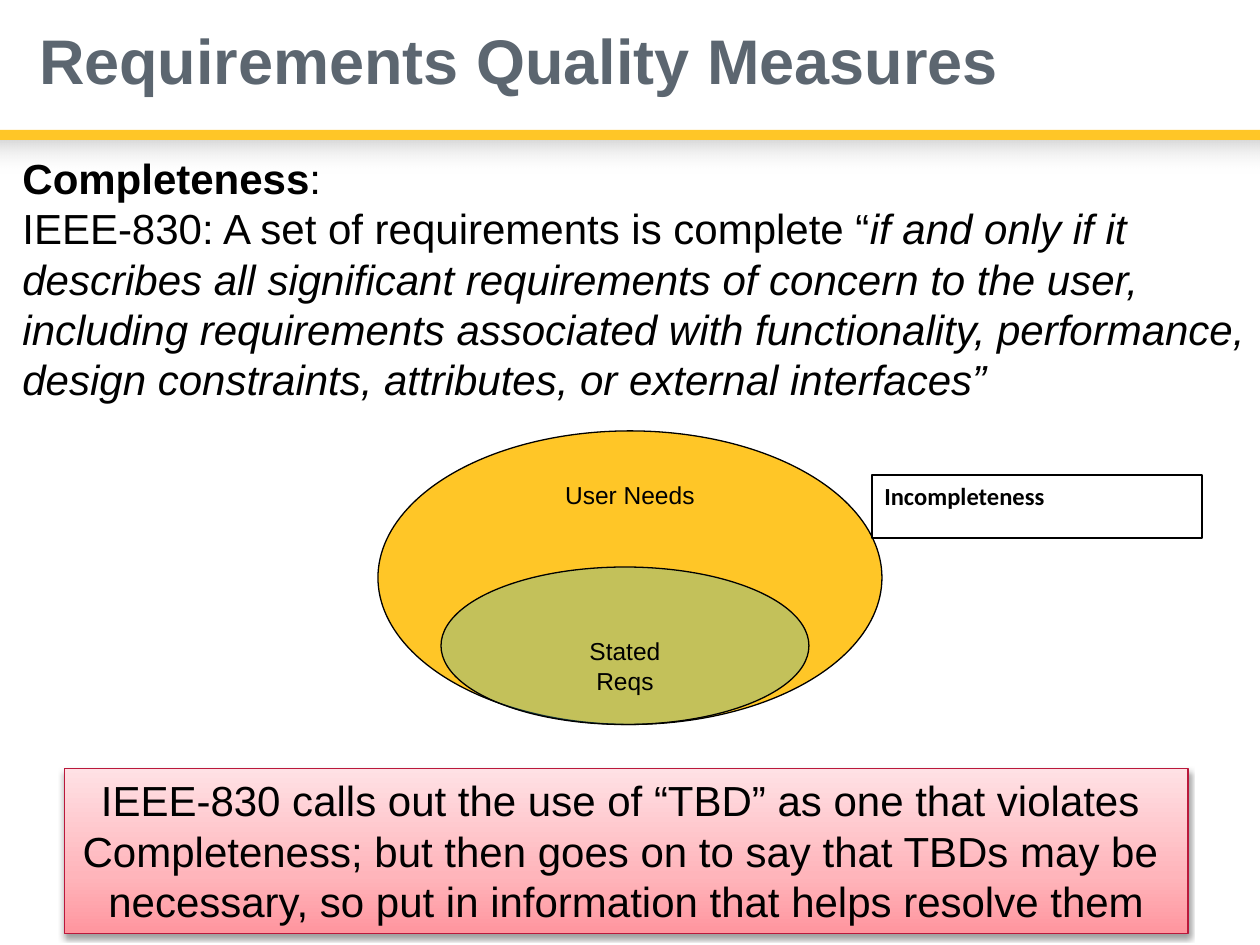
"""Build the Requirements Quality Measures slide on completeness."""
from dataclasses import dataclass

from lxml.etree import SubElement
from pptx import Presentation
from pptx.dml.color import RGBColor
from pptx.enum.shapes import MSO_SHAPE as Preset
from pptx.enum.text import MSO_ANCHOR as Anchor, MSO_AUTO_SIZE as AutoSize, PP_ALIGN as Align
from pptx.oxml.ns import qn
from pptx.util import Inches, Pt

COLORS = {
    "black": "000000", "gray": "5C6670", "gold": "FFC627", "teal": "4AB7C4",
    "crimson": "BA183B", "rose": "FF959E", "pink": "FFB5BB", "blush": "FFE1E5",
    "shade": "D9D9D9", "white": "FFFFFF",
}


@dataclass(frozen=True)
class Stop:
    position: int
    color: str
    opacity: int = 100


@dataclass(frozen=True)
class Panel:
    preset: Preset
    area: tuple[float, float, float, float]
    fill: str | None = None
    opacity: int = 100
    stops: tuple[Stop, ...] = ()
    angle: int = 0
    line: str | None = "black"
    text: str = ""
    size: int = 14
    font: str = "Arial"
    bold: bool = False
    align: Align = Align.CENTER
    anchor: Anchor = Anchor.TOP


PANELS = (
    Panel(Preset.RECTANGLE, (0, 1.11, 10, 0.27), line=None, angle=90,
          stops=(Stop(0, "shade"), Stop(100, "white", 0))),
    Panel(Preset.RECTANGLE, (0, 1.03, 10, 0.08), "gold", line=None),
    Panel(Preset.OVAL, (3, 3.42, 4, 2.33), "gold", text="User Needs"),
    Panel(Preset.OVAL, (3.5, 4.5, 2.92, 1.25), "teal", 33,
          text="Stated\nReqs", anchor=Anchor.BOTTOM),
    Panel(Preset.RECTANGLE, (6.92, 3.77, 2.62, 0.5), text="Incompleteness",
          font="Calibri", bold=True, align=Align.LEFT),
)
NOTICE = Panel(
    Preset.RECTANGLE, (0.51, 6.1, 8.92, 1.31), line="crimson", size=24, angle=270,
    stops=(Stop(0, "rose"), Stop(35, "pink"), Stop(100, "blush")),
    text="IEEE-830 calls out the use of “TBD” as one that violates \n"
         "Completeness; but then goes on to say that TBDs may be \n"
         "necessary, so put in information that helps resolve them",
)
DEFINITION = (
    (("Completeness", True, False), (":", False, False)),
    (("IEEE-830: A set of requirements is complete “", False, False),
     ("if and only if it describes all significant requirements of concern to the user, "
      "including requirements associated with functionality, performance, "
      "design constraints, attributes, or external interfaces”", False, True)),
)


def rgb(name: str) -> RGBColor:
    return RGBColor.from_string(COLORS[name])


def style(span, size: int, font: str = "Arial", color: str = "black",
          bold: bool = False, italic: bool = False) -> None:
    span.font.size = Pt(size)
    span.font.name = font
    span.font.color.rgb = rgb(color)
    span.font.bold = bold
    span.font.italic = italic


def add_color(parent, color: str, opacity: int) -> None:
    node = SubElement(parent, qn("a:srgbClr"), val=COLORS[color])
    if opacity < 100:
        SubElement(node, qn("a:alpha"), val=str(opacity * 1000))


def apply_gradient(shape, stops: tuple[Stop, ...], angle: int) -> None:
    shape.fill.gradient()
    gradient = shape.fill._xPr.find(qn("a:gradFill"))
    for child in list(gradient):
        gradient.remove(child)
    stop_list = SubElement(gradient, qn("a:gsLst"))
    for stop in stops:
        node = SubElement(stop_list, qn("a:gs"), pos=str(stop.position * 1000))
        add_color(node, stop.color, stop.opacity)
    SubElement(gradient, qn("a:lin"), ang=str(angle * 60000), scaled="0")


def add_panel(slide, panel: Panel):
    shape = slide.shapes.add_shape(panel.preset, *map(Inches, panel.area))
    shape.shadow.inherit = False
    if panel.stops:
        apply_gradient(shape, panel.stops, panel.angle)
    elif panel.fill:
        shape.fill.solid()
        shape.fill.fore_color.rgb = rgb(panel.fill)
        if panel.opacity < 100:
            color = shape.fill._xPr.find(qn("a:solidFill"))[0]
            SubElement(color, qn("a:alpha"), val=str(panel.opacity * 1000))
    else:
        shape.fill.background()
    if panel.line:
        shape.line.color.rgb = rgb(panel.line)
        shape.line.width = Pt(0.75)
    else:
        shape.line.fill.background()
    if panel.text:
        frame = shape.text_frame
        frame.text = panel.text
        frame.word_wrap = True
        frame.vertical_anchor = panel.anchor
        for para in frame.paragraphs:
            para.alignment = panel.align
            for span in para.runs:
                style(span, panel.size, panel.font, bold=panel.bold)
    return shape


def add_shadow(shape) -> None:
    effects = shape._element.spPr.find(qn("a:effectLst"))
    shadow = SubElement(effects, qn("a:outerShdw"), blurRad=str(Pt(3.1)),
                        dist=str(Pt(1.6)), dir=str(90 * 60000), rotWithShape="0")
    add_color(shadow, "black", 38)


def set_title(slide) -> None:
    title = slide.shapes.title
    title.left, title.top, title.width, title.height = map(Inches, (0.21, 0, 9.52, 1.02))
    frame = title.text_frame
    frame.text = "Requirements Quality Measures"
    frame.auto_size = AutoSize.NONE
    frame.vertical_anchor = Anchor.MIDDLE
    para = frame.paragraphs[0]
    para.alignment = Align.LEFT
    para.line_spacing = 0.9
    style(para.runs[0], 36, color="gray", bold=True)


def add_definition(slide) -> None:
    box = slide.shapes.add_textbox(*map(Inches, (0.08, 1.16, 10.03, 2.12)))
    frame = box.text_frame
    frame.word_wrap = True
    for index, parts in enumerate(DEFINITION):
        para = frame.add_paragraph() if index else frame.paragraphs[0]
        for text, bold, italic in parts:
            span = para.add_run()
            span.text = text
            style(span, 24, bold=bold, italic=italic)


def main() -> None:
    deck = Presentation()
    deck.slide_width, deck.slide_height = Inches(10), Inches(7.5)
    page = deck.slides.add_slide(deck.slide_layouts[5])
    set_title(page)
    for panel in PANELS:
        add_panel(page, panel)
    add_definition(page)
    add_shadow(add_panel(page, NOTICE))
    deck.save("out.pptx")


if __name__ == "__main__":
    main()
